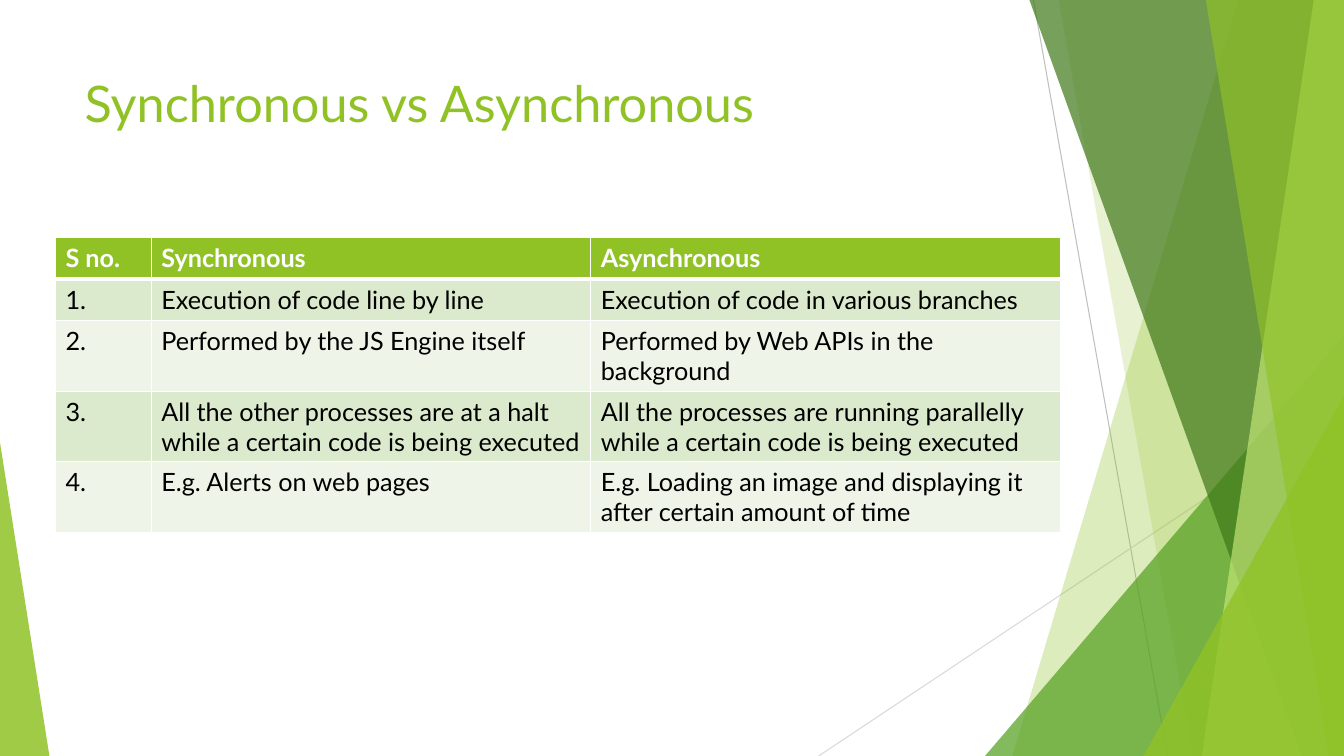
from lxml import etree
from pptx import Presentation, util as u
from pptx.dml.color import RGBColor
from pptx.enum import shapes, text
from pptx.oxml.ns import qn

FONT = "Lato"
GREEN = "90C226"
WIDTH, HEIGHT = 13.33, 7.5

# Slanted bands on the right: top left, top right, bottom left x, colour, opacity
BANDS_BEHIND = [
    (12.28, WIDTH, 10.04, GREEN, 30),
    (10.5, WIDTH, 11.83, GREEN, 20),
]
BANDS_FRONT = [
    (10.21, WIDTH, 12.91, "3F7819", 70),
    (13.03, WIDTH, 11.92, "C0E474", 70),
    (11.96, WIDTH, 13.18, GREEN, 65),
]

COLUMN_WIDTHS = [0.95, 4.36, 4.66]
ROW_HEIGHTS = [0.41, 0.41, 0.7, 0.7, 0.7]
ROWS = [
    ("S no.", "Synchronous", "Asynchronous"),
    ("1.", "Execution of code line by line",
     "Execution of code in various branches"),
    ("2.", "Performed by the JS Engine itself",
     "Performed by Web APIs in the background"),
    ("3.", "All the other processes are at a halt while a certain code is being executed",
     "All the processes are running parallelly while a certain code is being executed"),
    ("4.", "E.g. Alerts on web pages",
     "E.g. Loading an image and displaying it after certain amount of time"),
]


def rgb(color):
    return RGBColor.from_string(color)


def write_text(frame, content, size, color, bold=False):
    paragraph = frame.paragraphs[0]
    paragraph.alignment = text.PP_ALIGN.LEFT
    run = paragraph.add_run()
    run.text = content
    run.font.name = FONT
    run.font.size = u.Pt(size)
    run.font.bold = bold
    run.font.color.rgb = rgb(color)


def fill_shape(shape, color, opacity):
    shape.shadow.inherit = False
    shape.line.fill.background()
    shape.fill.solid()
    shape.fill.fore_color.rgb = rgb(color)
    color_element = shape.fill._xPr.find(".//" + qn("a:srgbClr"))
    etree.SubElement(color_element, qn("a:alpha"), val=str(opacity * 1000))


def add_line(slide, start, end, color):
    points = [u.Inches(value) for value in (*start, *end)]
    line = slide.shapes.add_connector(shapes.MSO_CONNECTOR.STRAIGHT, *points)
    line.line.color.rgb = rgb(color)
    line.line.width = u.Pt(0.75)
    etree.SubElement(line._element.spPr, qn("a:effectLst"))


def add_band(slide, top_left, top_right, bottom_left, color, opacity):
    corners = [(top_left, 0), (top_right, 0), (WIDTH, HEIGHT), (bottom_left, HEIGHT)]
    points = [(u.Inches(x), u.Inches(y)) for x, y in corners]
    builder = slide.shapes.build_freeform(*points[0])
    builder.add_line_segments(points[1:], close=True)
    fill_shape(builder.convert_to_shape(), color, opacity)


def add_triangle(slide, left, top, width, apex, color, opacity):
    triangle = slide.shapes.add_shape(
        shapes.MSO_SHAPE.ISOSCELES_TRIANGLE, u.Inches(left), u.Inches(top),
        u.Inches(width), u.Inches(HEIGHT - top))
    triangle.adjustments[0] = apex
    fill_shape(triangle, color, opacity)


def add_decoration(slide):
    add_line(slide, (10.25, 0), (11.58, HEIGHT), "BFBFBF")
    add_line(slide, (WIDTH, 4.03), (8.12, HEIGHT), "D9D9D9")
    for band in BANDS_BEHIND:
        add_band(slide, *band)
    add_triangle(slide, 9.77, 3.33, 3.56, 1, "54A021", 72)
    for band in BANDS_FRONT:
        add_band(slide, *band)
    add_triangle(slide, 11.34, 3.93, 1.99, 1, GREEN, 80)
    add_triangle(slide, 0, 4.39, 0.49, 0, GREEN, 85)


def set_title(slide, content):
    title = slide.shapes.title
    title.left, title.top = u.Inches(0.74), u.Inches(0.67)
    title.width, title.height = u.Inches(9.4), u.Inches(1.44)
    title.text_frame.vertical_anchor = text.MSO_ANCHOR.TOP
    write_text(title.text_frame, content, 36, GREEN)


def set_borders(cell, **widths):
    properties = cell._tc.get_or_add_tcPr()
    for index, (side, width) in enumerate(widths.items()):
        border = etree.Element(qn("a:ln" + side), w=str(u.Pt(width)))
        solid = etree.SubElement(border, qn("a:solidFill"))
        etree.SubElement(solid, qn("a:srgbClr"), val="FFFFFF")
        properties.insert(index, border)


def add_comparison(slide):
    frame = slide.shapes.add_table(
        len(ROWS), len(COLUMN_WIDTHS), u.Inches(0.55), u.Inches(2.36),
        u.Inches(sum(COLUMN_WIDTHS)), u.Inches(sum(ROW_HEIGHTS)))
    table = frame.table
    for column, width in zip(table.columns, COLUMN_WIDTHS):
        column.width = u.Inches(width)
    for row_index, (row, height) in enumerate(zip(table.rows, ROW_HEIGHTS)):
        row.height = u.Inches(height)
        header = row_index == 0
        fill = GREEN if header else ("EEF4E8", "DBE9CD")[row_index % 2]
        for cell, content in zip(row.cells, ROWS[row_index]):
            cell.fill.solid()
            cell.fill.fore_color.rgb = rgb(fill)
            set_borders(cell, L=1, R=1, T=3 if row_index == 1 else 1,
                        B=3 if header else 1)
            write_text(cell.text_frame, content, 18,
                       "FFFFFF" if header else "000000", bold=header)


def main():
    presentation = Presentation()
    presentation.slide_width = u.Inches(WIDTH)
    presentation.slide_height = u.Inches(HEIGHT)
    slide = presentation.slides.add_slide(presentation.slide_layouts[5])
    add_decoration(slide)
    set_title(slide, "Synchronous vs Asynchronous")
    add_comparison(slide)
    presentation.save("out.pptx")


main()
